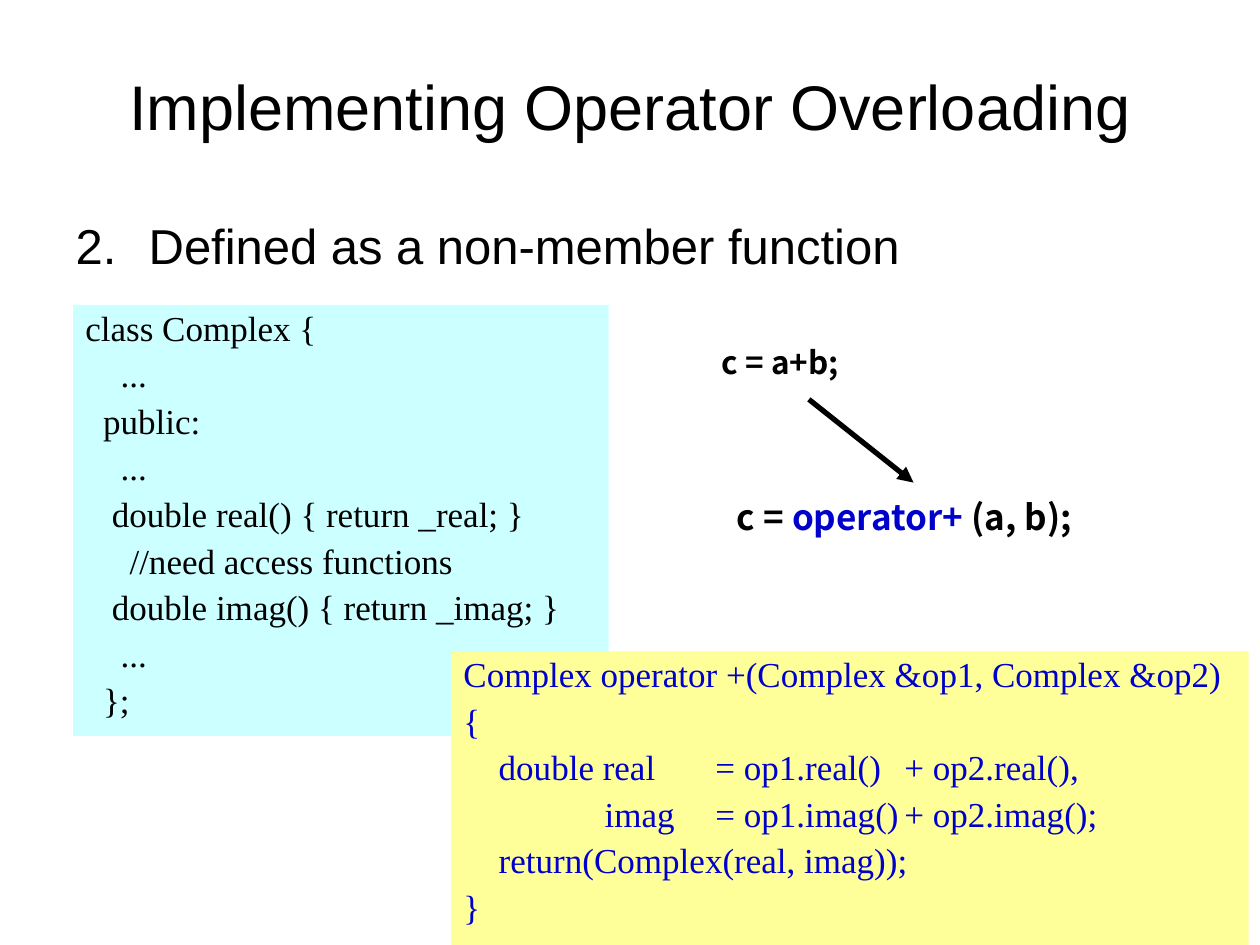
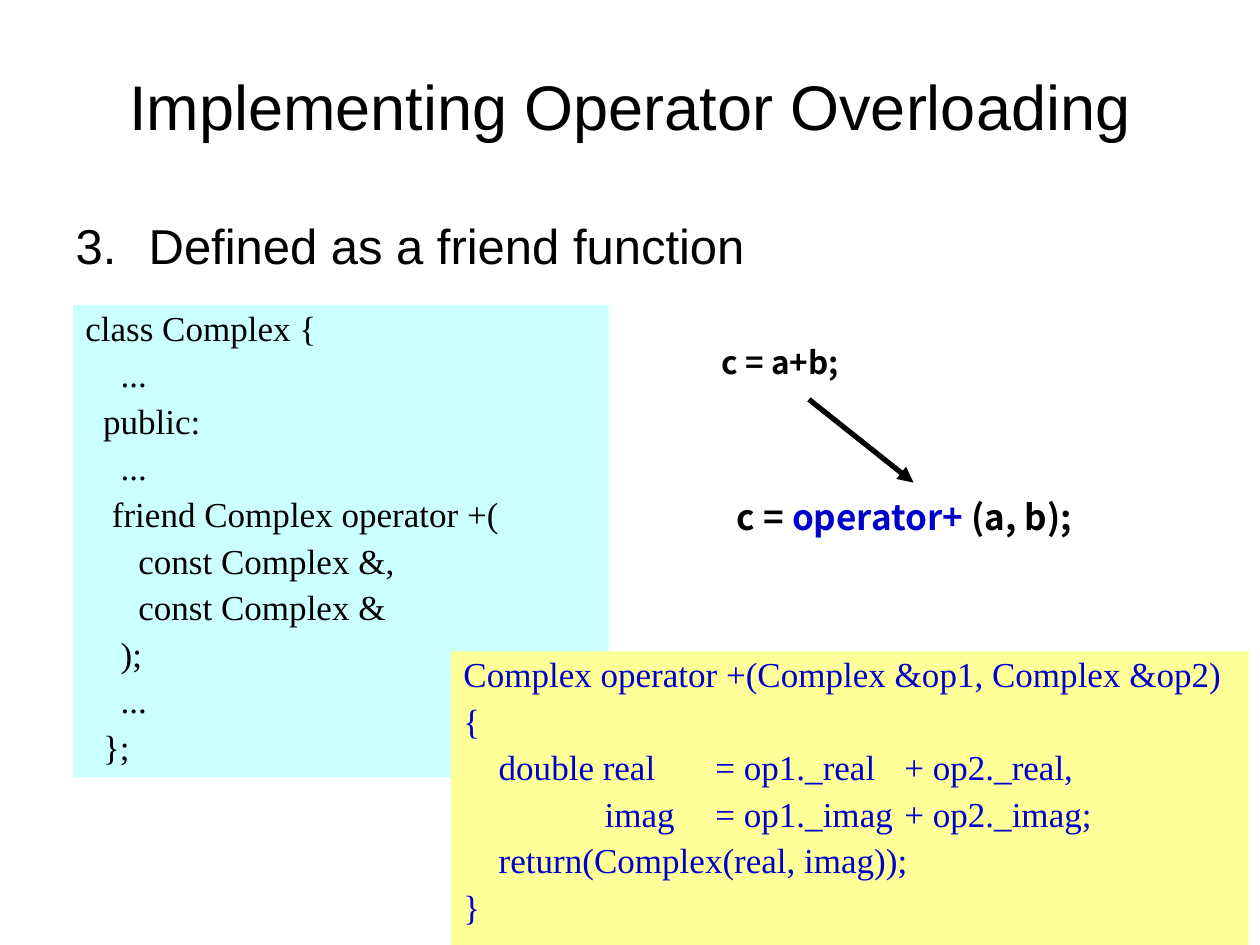
from typing import Any, NamedTuple

from lxml.etree import SubElement
from pptx import Presentation
from pptx.dml.color import RGBColor
from pptx.enum.shapes import MSO_CONNECTOR, MSO_SHAPE
from pptx.enum.text import MSO_ANCHOR, MSO_AUTO_SIZE, PP_ALIGN
from pptx.oxml.ns import qn
from pptx.util import Inches, Pt

BLACK = RGBColor(0x00, 0x00, 0x00)
BLUE = RGBColor(0x00, 0x00, 0xCC)
CYAN = RGBColor(0xCC, 0xFF, 0xFF)
YELLOW = RGBColor(0xFF, 0xFF, 0x99)

TITLE = "Implementing Operator Overloading"
TITLE_FONT = {"name": "Arial", "size": Pt(36)}
LIST_FONT = {"name": "Arial", "size": Pt(28)}
CODE_FONT = {"name": "Times New Roman", "size": Pt(20)}
CALL_FONT = {"name": "Noto Sans CJK KR", "size": Pt(18), "bold": True}
EXPANSION_FONT = CALL_FONT | {"size": Pt(20)}

LIST_SPACING = {"line_spacing": 0.8, "space_before": Pt(7)}
CODE_SPACING = {"line_spacing": 0.9, "space_before": Pt(5)}
CODE_SPACE = 0.07  # inches taken by one column of code indent


class Box(NamedTuple):
    left: float
    top: float
    width: float
    height: float


class CodeLine(NamedTuple):
    columns: int
    text: str


class CodePanel(NamedTuple):
    box: Box
    fill: RGBColor
    color: RGBColor
    lines: list[CodeLine]
    tabs: tuple[float, ...] = ()


class Method(NamedTuple):
    """One way of defining the operator, shown on one slide."""
    number: int
    heading: str
    class_height: float
    members: list[CodeLine]
    real_terms: tuple[str, str]
    imag_terms: tuple[str, str]
    plus_tab: float


METHODS = [
    Method(2, "Defined as a non-member function", 3.42, [
        CodeLine(3, "double real() { return _real; }"),
        CodeLine(5, "//need access functions"),
        CodeLine(3, "double imag() { return _imag; }"),
    ], ("op1.real()", "op2.real()"), ("op1.imag()", "op2.imag()"), 3.26),
    Method(3, "Defined as a friend function", 3.75, [
        CodeLine(3, "friend Complex operator +("),
        CodeLine(6, "const Complex &,"),
        CodeLine(6, "const Complex &"),
        CodeLine(4, ");"),
    ], ("op1._real", "op2._real"), ("op1._imag", "op2._imag"), 3.21),
]


def apply(target: Any, values: dict[str, Any]) -> None:
    for name, value in values.items():
        setattr(target, name, value)


def place(shape: Any, box: Box) -> None:
    apply(shape, {k: Inches(v) for k, v in box._asdict().items()})


def add_run(p: Any, text: str, font: dict[str, Any], color: RGBColor = BLACK) -> None:
    r = p.add_run()
    r.text = text
    apply(r.font, font)
    r.font.color.rgb = color


def number_paragraph(p: Any, start: int) -> None:
    pPr = p._p.get_or_add_pPr()
    pPr.set("marL", str(Inches(0.58)))
    pPr.set("indent", str(-Inches(0.58)))
    color = SubElement(pPr, qn("a:buClr"))
    SubElement(color, qn("a:srgbClr"), val=str(BLACK))
    SubElement(pPr, qn("a:buFont"), typeface="Arial")
    SubElement(pPr, qn("a:buAutoNum"), type="arabicPeriod", startAt=str(start))


def indent_code(p: Any, columns: int, tabs: tuple[float, ...]) -> None:
    pPr = p._p.get_or_add_pPr()
    pPr.set("marL", "0")
    pPr.set("indent", str(Inches(columns * CODE_SPACE)))
    if tabs:
        stops = SubElement(pPr, qn("a:tabLst"))
        for pos in tabs:
            SubElement(stops, qn("a:tab"), pos=str(Inches(pos)), algn="l")


def fill_placeholders(s: Any, method: Method) -> None:
    title, body = s.shapes.title, s.placeholders[1]
    place(title, Box(0, 0.42, 10, 0.83))
    tf = title.text_frame
    apply(tf, {"vertical_anchor": MSO_ANCHOR.MIDDLE, "auto_size": MSO_AUTO_SIZE.NONE})
    p = tf.paragraphs[0]
    p.alignment = PP_ALIGN.CENTER
    add_run(p, TITLE, TITLE_FONT)

    place(body, Box(0.5, 1.75, 9, 0.5))
    tf = body.text_frame
    apply(tf, {"vertical_anchor": MSO_ANCHOR.TOP, "auto_size": MSO_AUTO_SIZE.NONE})
    p = tf.paragraphs[0]
    apply(p, LIST_SPACING)
    number_paragraph(p, method.number)
    add_run(p, method.heading, LIST_FONT)


def add_code_panel(s: Any, panel: CodePanel) -> None:
    sp = s.shapes.add_shape(MSO_SHAPE.RECTANGLE, *map(Inches, panel.box))
    sp.shadow.inherit = False
    sp.fill.solid()
    sp.fill.fore_color.rgb = panel.fill
    sp.line.fill.background()
    tf = sp.text_frame
    apply(tf, {"vertical_anchor": MSO_ANCHOR.TOP, "word_wrap": True})
    for i, line in enumerate(panel.lines):
        p = tf.add_paragraph() if i else tf.paragraphs[0]
        apply(p, CODE_SPACING | {"alignment": PP_ALIGN.LEFT})
        indent_code(p, line.columns, panel.tabs if "\t" in line.text else ())
        add_run(p, line.text, CODE_FONT, panel.color)


def add_text_box(shapes: Any, box: Box, wrap: bool) -> Any:
    """Add a growing text box and return its first paragraph."""
    tf = shapes.add_textbox(*map(Inches, box)).text_frame
    apply(tf, {"word_wrap": wrap, "auto_size": MSO_AUTO_SIZE.SHAPE_TO_FIT_TEXT})
    return tf.paragraphs[0]


def add_arrow(shapes: Any, *ends: float) -> None:
    arrow = shapes.add_connector(MSO_CONNECTOR.STRAIGHT, *map(Inches, ends))
    arrow.line.color.rgb = BLACK
    arrow.line.width = Pt(3)
    SubElement(arrow.line._get_or_add_ln(), qn("a:tailEnd"), type="triangle")
    SubElement(arrow._element.spPr, qn("a:effectLst"))


def add_call_expansion(s: Any) -> None:
    """Show the expression and the operator call it turns into."""
    p = add_text_box(s.shapes, Box(5.63, 2.67, 1.13, 0.4), wrap=False)
    add_run(p, "c = a+b;", CALL_FONT)

    group = s.shapes.add_group_shape()
    add_arrow(group.shapes, 6.42, 3.17, 7.25, 3.83)
    p = add_text_box(group.shapes, Box(5.75, 3.92, 3.08, 0.4), wrap=True)
    apply(p, CODE_SPACING)
    for text, color in (("c = ", BLACK), ("operator+", BLUE), (" (a, b);", BLACK)):
        add_run(p, text, EXPANSION_FONT, color)


def class_panel(method: Method) -> CodePanel:
    ellipsis = CodeLine(4, "...")
    lines = [CodeLine(0, "class Complex {"), ellipsis, CodeLine(2, "public:"), ellipsis,
             *method.members, ellipsis, CodeLine(2, "};")]
    return CodePanel(Box(0.58, 2.42, 4.25, method.class_height), CYAN, BLACK, lines)


def operator_panel(method: Method) -> CodePanel:
    real, imag = ("\t+ ".join(t) for t in (method.real_terms, method.imag_terms))
    lines = [CodeLine(0, "Complex operator +(Complex &op1, Complex &op2)"),
             CodeLine(0, "{"),
             CodeLine(4, f"double real\t= {real},"),
             CodeLine(16, f"imag\t= {imag};"),
             CodeLine(4, "return(Complex(real, imag));"),
             CodeLine(0, "}")]
    return CodePanel(Box(3.58, 5.17, 6.33, 2.33), YELLOW, BLUE, lines,
                     (1.73, method.plus_tab))


def main() -> None:
    prs = Presentation()
    prs.slide_width, prs.slide_height = Inches(10), Inches(7.5)
    for method in METHODS:
        s = prs.slides.add_slide(prs.slide_layouts[1])
        fill_placeholders(s, method)
        add_code_panel(s, class_panel(method))
        add_code_panel(s, operator_panel(method))
        add_call_expansion(s)
    prs.save("out.pptx")


if __name__ == "__main__":
    main()
